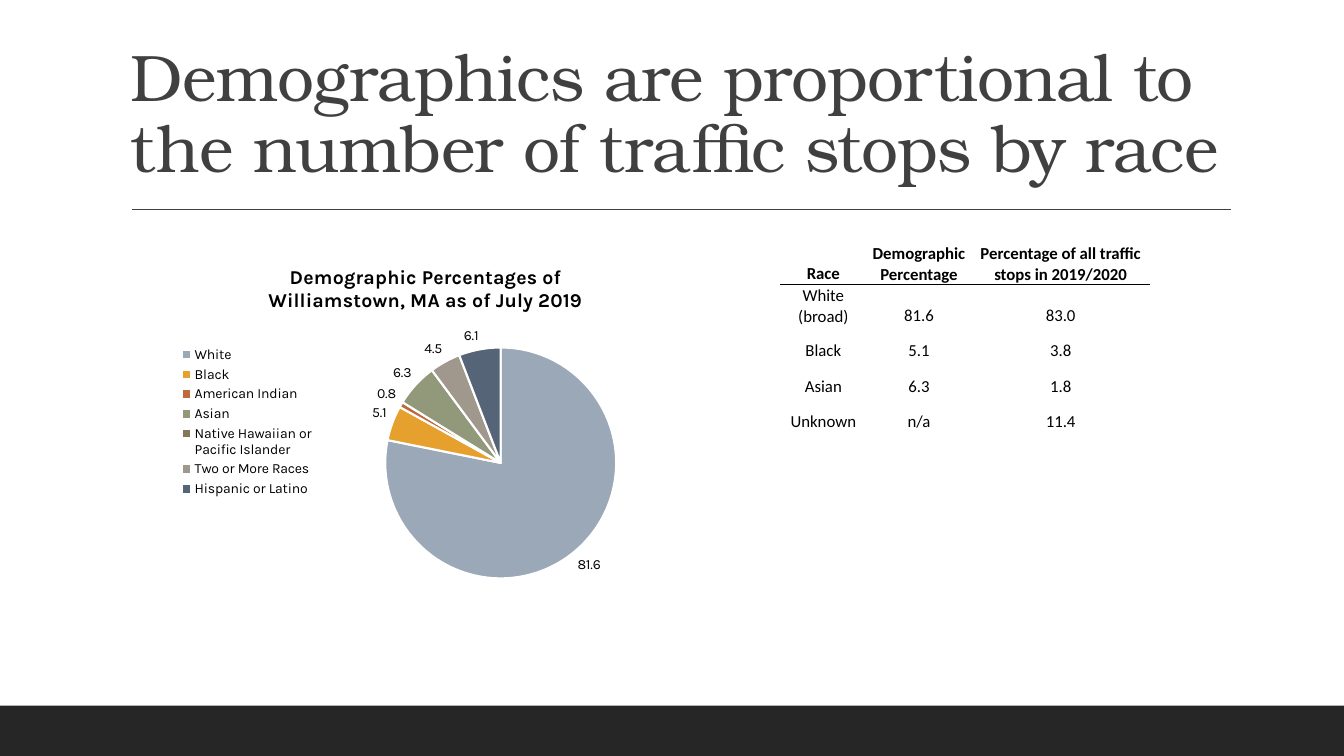
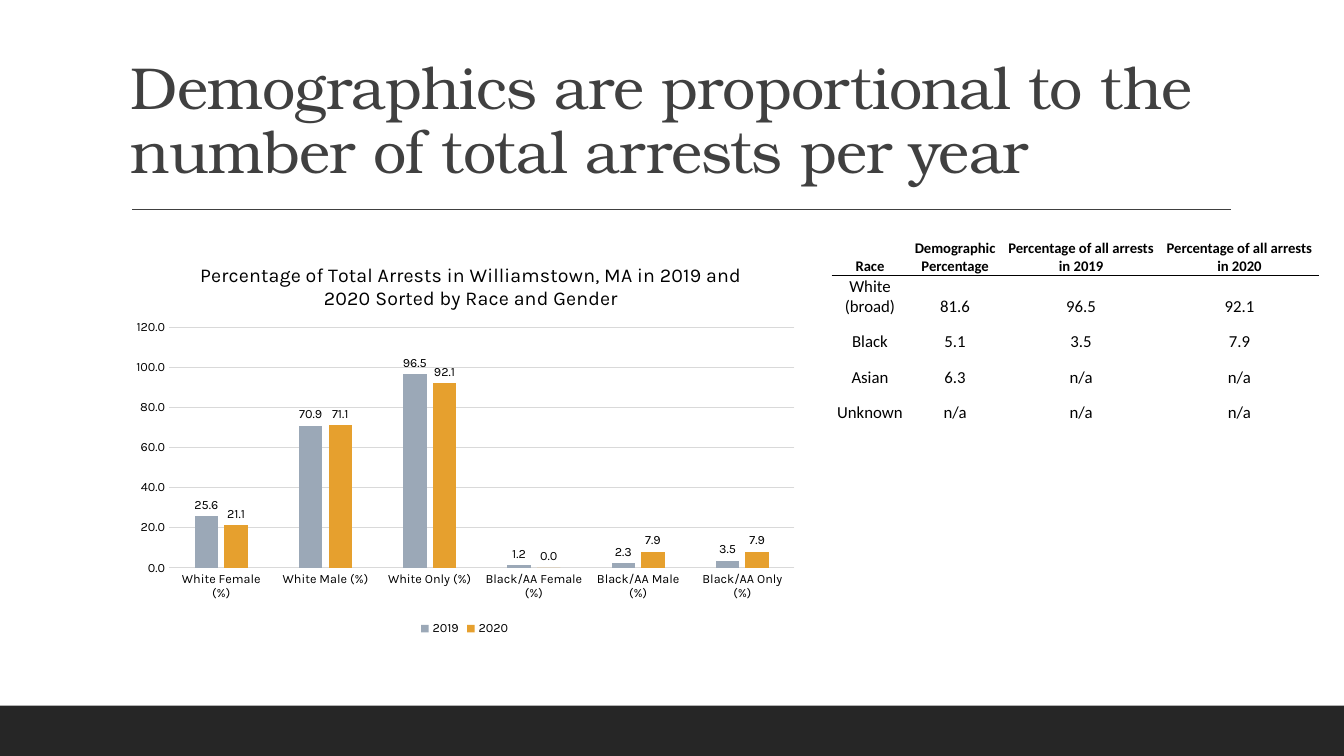
from dataclasses import dataclass

from lxml import etree
from pptx import Presentation
from pptx.chart.data import CategoryChartData
from pptx.dml.color import RGBColor
from pptx.enum.chart import (XL_CHART_TYPE as ChartType, XL_LABEL_POSITION as LabelPos,
                             XL_LEGEND_POSITION as LegendPos, XL_TICK_MARK as Tick)
from pptx.enum.shapes import MSO_CONNECTOR as Connector, MSO_SHAPE as Shape
from pptx.enum.text import MSO_ANCHOR as Anchor, PP_ALIGN as Align
from pptx.oxml import parse_xml
from pptx.oxml.ns import nsdecls, qn
from pptx.util import Cm, Pt


def rgb(value):
    return RGBColor.from_string(value)


@dataclass(frozen=True)
class Theme:
    ink: RGBColor = rgb("000000")
    gray: RGBColor = rgb("404040")
    band: RGBColor = rgb("262626")
    grid: RGBColor = rgb("D9D9D9")
    white: RGBColor = rgb("FFFFFF")
    series: tuple = tuple(map(rgb, ("9BA8B7", "E6A02E", "BF6A3B", "92987A",
                                    "857659", "A0988C", "556476")))
    title_font: str = "TeX Gyre Bonum"
    chart_font: str = "Karla"
    table_font: str = "Calibri"
    chart_title: float = 14
    label: float = 10
    small_label: float = 9
    cell: float = 12
    small_head: float = 10.5


T = Theme()
WIDTH, HEIGHT = 33.87, 19.05
NO_TABLE_STYLE = "{2D5ABB26-0587-4C30-8999-92F81FD0307C}"


def style(font, name, size, color, bold=False):
    font.name, font.size, font.bold = name, Pt(size), bold
    font.color.rgb = color


# Parts every slide shares
def add_frame(s, title, size):
    # Bottom band
    band = s.shapes.add_shape(Shape.RECTANGLE, 0, Cm(17.78), Cm(WIDTH), Cm(1.27))
    band.shadow.inherit = False
    band.fill.solid()
    band.fill.fore_color.rgb = T.band
    band.line.fill.background()

    # Rule under the title
    rule = s.shapes.add_connector(Connector.STRAIGHT, Cm(3.33), Cm(5.28), Cm(31.01), Cm(5.28))
    rule.line.color.rgb = T.gray
    rule.line.width = Pt(1)
    etree.SubElement(rule._element.spPr, qn("a:effectLst"))

    # Title
    tf = s.shapes.add_textbox(Cm(3.05), Cm(0.79), Cm(27.94), Cm(4.04)).text_frame
    tf.word_wrap = True
    tf.vertical_anchor = Anchor.BOTTOM
    p = tf.paragraphs[0]
    p.line_spacing = 0.9
    r = p.add_run()
    r.text = title
    style(r.font, T.title_font, size, T.gray)
    r._r.get_or_add_rPr().set("spc", "-50")


def set_layout(parent, index, inner=False, **fractions):
    """Fix a chart part at fractions of the chart's width and height."""
    for old in parent.findall(qn("c:layout")):
        parent.remove(old)
    target = '<c:layoutTarget val="inner"/>' if inner else ""
    modes = "".join(f'<c:{k}Mode val="edge"/>' for k in "xy")
    sizes = "".join(f'<c:{k} val="{v}"/>' for k, v in fractions.items())
    parent.insert(index, parse_xml(
        f'<c:layout {nsdecls("c")}><c:manualLayout>{target}{modes}{sizes}'
        '</c:manualLayout></c:layout>'))


def add_chart(s, box, kind, cats, series, title, title_x, plot_box, legend, size,
              number_format, bold=False):
    data = CategoryChartData()
    data.categories = cats
    for name, values in series:
        data.add_series(name, values)
    chart = s.shapes.add_chart(kind, *map(Cm, box), data).chart
    style(chart.font, T.chart_font, size, T.ink)

    # Title
    chart.has_title = True
    tf = chart.chart_title.text_frame
    tf.text = title
    style(tf.paragraphs[0].font, T.chart_title and T.chart_font, T.chart_title, T.ink, bold)
    chart.chart_title.include_in_layout = False
    set_layout(chart.chart_title._element, 1, x=title_x, y=0.05)

    # Plot area and legend
    x, y, w, h = plot_box
    set_layout(chart._chartSpace.chart.plotArea, 0, inner=True, x=x, y=y, w=w, h=h)
    chart.has_legend = True
    chart.legend.position = legend
    chart.legend.include_in_layout = False
    style(chart.legend.font, T.chart_font, size, T.ink)

    # Data labels
    plot = chart.plots[0]
    plot.has_data_labels = True
    labels = plot.data_labels
    labels.show_value = True
    labels.position = LabelPos.OUTSIDE_END
    labels.number_format, labels.number_format_is_linked = number_format, False
    style(labels.font, T.chart_font, size, T.ink)
    return chart


def add_pie(s, box, cats, values, title):
    chart = add_chart(s, box, ChartType.PIE, cats, [("Series 1", values)], title, 0.19,
                      (0.43, 0.29, 0.46, 0.65), LegendPos.LEFT, T.label, "0.0;;", bold=True)
    plot = chart.plots[0]
    plot.vary_by_categories = True
    for i, color in enumerate(T.series):
        fmt = plot.series[0].points[i].format
        fmt.fill.solid()
        fmt.fill.fore_color.rgb = color
        fmt.line.color.rgb = T.white
        fmt.line.width = Pt(1.5)


def add_columns(s, box, cats, series, title):
    chart = add_chart(s, box, ChartType.COLUMN_CLUSTERED, cats, series, title, 0.11,
                      (0.07, 0.22, 0.91, 0.6), LegendPos.BOTTOM, T.small_label, "0.0")
    plot = chart.plots[0]
    plot.vary_by_categories = False
    plot.gap_width, plot.overlap = 219, -27
    for ser, color in zip(plot.series, T.series):
        ser.format.fill.solid()
        ser.format.fill.fore_color.rgb = color

    # Axes
    cat_axis, val_axis = chart.category_axis, chart.value_axis
    for axis in (cat_axis, val_axis):
        axis.major_tick_mark = axis.minor_tick_mark = Tick.NONE
        style(axis.tick_labels.font, T.chart_font, T.small_label, T.ink)
    val_axis.minimum_scale, val_axis.maximum_scale, val_axis.major_unit = 0, 120, 20
    val_axis.tick_labels.number_format = "0.0"
    val_axis.tick_labels.number_format_is_linked = False
    val_axis.format.line.fill.background()
    for line in (cat_axis.format.line, val_axis.major_gridlines.format.line):
        line.color.rgb = T.grid
        line.width = Pt(0.75)


def add_table(s, left, top, col_widths, rows, head_size):
    row_height = 0.89
    table = s.shapes.add_table(len(rows), len(col_widths), Cm(left), Cm(top),
                               Cm(sum(col_widths)), Cm(row_height * len(rows))).table
    table.first_row = table.horz_banding = False
    table._tbl.tblPr.find(qn("a:tableStyleId")).text = NO_TABLE_STYLE
    for col, width in zip(table.columns, col_widths):
        col.width = Cm(width)
    for i, values in enumerate(rows):
        table.rows[i].height = Cm(row_height)
        head = i == 0
        for j, value in enumerate(values):
            cell = table.cell(i, j)
            cell.text = value
            cell.vertical_anchor = Anchor.BOTTOM
            cell.margin_left = cell.margin_right = cell.margin_top = Cm(0.03)
            cell.margin_bottom = 0
            p = cell.text_frame.paragraphs[0]
            p.alignment = Align.CENTER
            style(p.font, T.table_font, head_size if head else T.cell, T.ink, head)
            cell.fill.background()
            if head:  # line under the header row
                cell._tc.get_or_add_tcPr().insert(0, parse_xml(
                    f'<a:lnB {nsdecls("a")} w="12700"><a:solidFill>'
                    f'<a:srgbClr val="{T.ink}"/></a:solidFill></a:lnB>'))


def traffic_slide(s):
    add_frame(s, "Demographics are proportional to the number of traffic stops by race", 47)
    add_pie(s, (4.27, 6.12, 12.65, 9.02),
            ["White", "Black", "American Indian", "Asian",
             "Native Hawaiian or Pacific Islander", "Two or More Races",
             "Hispanic or Latino"],
            [81.6, 5.1, 0.8, 6.3, 0, 4.5, 6.1],
            "Demographic Percentages of Williamstown, MA as of July 2019")
    add_table(s, 19.66, 6.12, [2.18, 2.64, 4.5], [
        ["Race", "Demographic Percentage", "Percentage of all traffic stops in 2019/2020"],
        ["White (broad)", "81.6", "83.0"],
        ["Black", "5.1", "3.8"],
        ["Asian", "6.3", "1.8"],
        ["Unknown", "n/a", "11.4"],
    ], T.cell)


def arrests_slide(s):
    add_frame(s, "Demographics are proportional to the number of total arrests per year", 42.3)
    add_columns(s, (3.05, 6.02, 17.32, 10.11),
                [f"{race} {group} (%)" for race in ("White", "Black/AA")
                 for group in ("Female", "Male", "Only")],
                [("2019", [25.6, 70.9, 96.5, 1.2, 2.3, 3.5]),
                 ("2020", [21.1, 71.1, 92.1, 0, 7.9, 7.9])],
                "Percentage of Total Arrests in Williamstown, MA in 2019 and 2020 "
                "Sorted by Race and Gender")
    add_table(s, 20.96, 6.02, [1.93, 2.36, 3.99, 3.99], [
        ["Race", "Demographic Percentage", "Percentage of all arrests in 2019",
         "Percentage of all arrests in 2020"],
        ["White (broad)", "81.6", "96.5", "92.1"],
        ["Black", "5.1", "3.5", "7.9"],
        ["Asian", "6.3", "n/a", "n/a"],
        ["Unknown", "n/a", "n/a", "n/a"],
    ], T.small_head)


def main():
    prs = Presentation()
    prs.slide_width, prs.slide_height = Cm(WIDTH), Cm(HEIGHT)
    for build in (traffic_slide, arrests_slide):
        build(prs.slides.add_slide(prs.slide_layouts[6]))
    prs.save("out.pptx")


if __name__ == "__main__":
    main()
